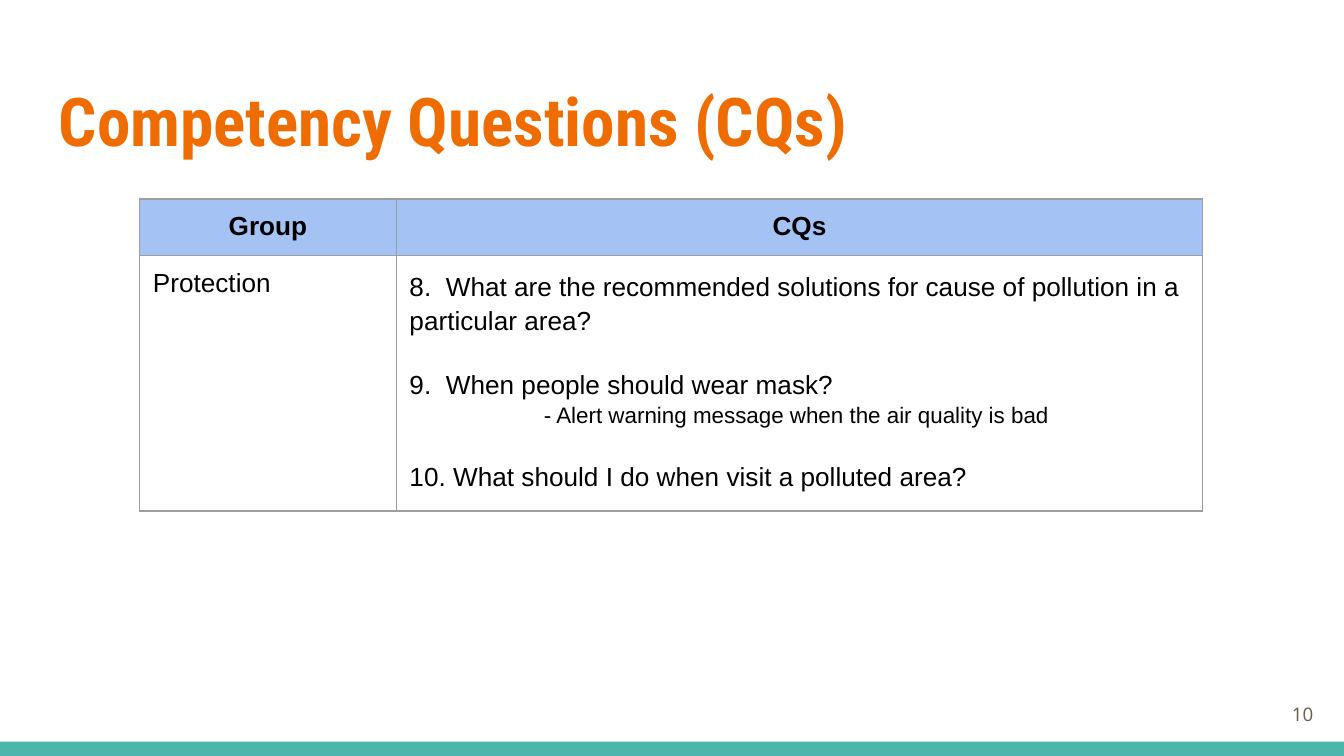
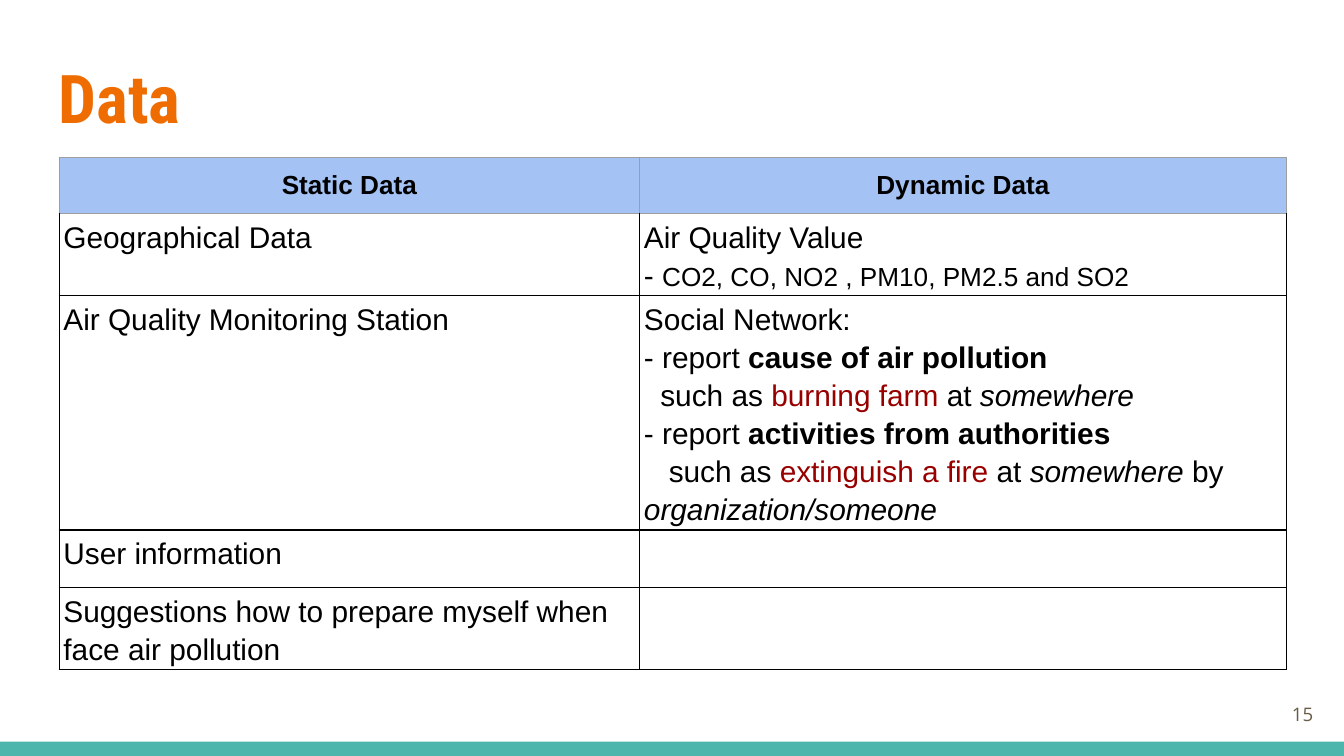
from dataclasses import dataclass

from lxml import etree
from pptx import Presentation
from pptx.dml.color import RGBColor
from pptx.enum import shapes, text
from pptx.oxml import ns
from pptx.util import Cm, Pt


# Theme
@dataclass(frozen=True)
class Theme:
    title: str = "EF6C00"
    band: str = "4DB6AC"
    page: str = "695D46"
    header: str = "A4C2F4"
    ink: str = "000000"
    accent: str = "980000"
    grey: str = "9E9E9E"
    title_font: str = "Roboto Condensed"
    body_font: str = "Arial"
    page_font: str = "Open Sans"
    title_size: int = 36
    large: int = 16
    medium: int = 14
    small: int = 12
    page_size: int = 10
    line_spacing: float = 1.15
    border_width: float = 0.75


THEME = Theme()
STYLES = {
    "bold": {"bold": True},
    "italic": {"italic": True},
    "accent": {"color": THEME.accent},
    "medium": {"size": THEME.medium},
    "small": {"size": THEME.small},
}
WIDE, SLIM = (0.25, 0.25), (0.08, 0.05)

# Content: a cell is a list of (paragraph format, runs); a run is (text, style)
PROTECTION_QUESTIONS = [
    ({}, [("8.  What are the recommended solutions for cause of pollution "
           "in a particular area?", None)]),
    ({"before": 16}, [("9.  When people should wear mask?", None)]),
    ({"indent": 2.54}, [("- Alert warning message when the air quality is bad", "small")]),
    ({"before": 16}, [("10. What should I do when visit a polluted area?", None)]),
]
AIR_QUALITY = [
    ({}, [("Air Quality Value", None)]),
    ({}, [("- ", None), ("CO2, CO, NO2 , PM10, PM2.5 and SO2", "medium")]),
]
SOCIAL_NETWORK = [
    ({}, [("Social Network:", None)]),
    ({}, [("- report ", None), ("cause of air pollution", "bold")]),
    ({"indent": 0.31}, [("such as ", None), ("burning farm", "accent"),
                        (" at ", None), ("somewhere", "italic")]),
    ({}, [("- report ", None), ("activities from authorities", "bold")]),
    ({"indent": 0.47}, [("such as ", None), ("extinguish a fire", "accent"),
                        (" at ", None), ("somewhere ", "italic"), ("by", None),
                        (" organization/someone", "italic")]),
]
SLIDES = [
    {
        "title": "Competency Questions (CQs)", "title_top": 1.24, "page": "10",
        "at": (2.64, 3.76), "columns": (4.85, 15.24), "rows": (1.07, 4.83),
        "border": THEME.grey, "margins": WIDE, "size": THEME.medium,
        "header": ("Group", "CQs"),
        "body": [("Protection", PROTECTION_QUESTIONS)],
    },
    {
        "title": "Data", "title_top": 0.81, "page": "15",
        "at": (1.12, 2.97), "columns": (10.97, 12.22),
        "rows": (1.07, 1.55, 4.43, 1.09, 1.55),
        "border": THEME.ink, "margins": SLIM, "size": THEME.large,
        "header": ("Static Data", "Dynamic Data"),
        "body": [
            ("Geographical Data", AIR_QUALITY),
            ("Air Quality Monitoring Station", SOCIAL_NETWORK),
            ("User information", ""),
            ("Suggestions how to prepare myself when face air pollution", ""),
        ],
    },
]


# Text helpers
def set_font(font, size, name, color, **flags):
    values = {"size": Pt(size), "name": name, **flags}
    for key, value in values.items():
        setattr(font, key, value)
    font.color.rgb = RGBColor.from_string(color)


def set_margins(holder, across, down):
    for side, length in zip(("left", "right", "top", "bottom"),
                            (across, across, down, down)):
        setattr(holder, f"margin_{side}", Cm(length))


def write_line(frame, words, size, name, color, align, anchor, **flags):
    set_margins(frame, *WIDE)
    values = {"word_wrap": True, "auto_size": text.MSO_AUTO_SIZE.NONE,
              "vertical_anchor": anchor}
    for key, value in values.items():
        setattr(frame, key, value)
    line = frame.paragraphs[0]
    line.alignment = align
    run = line.add_run()
    run.text = words
    set_font(run.font, size, name, color, **flags)


def write_cell(cell, content, size, spacing=None, align=None, bold=False):
    if isinstance(content, str):
        content = [({}, [(content, None)])] if content else []
    frame = cell.text_frame
    for index, (layout, runs) in enumerate(content):
        line = frame.add_paragraph() if index else frame.paragraphs[0]
        line.alignment = align
        line.line_spacing = spacing
        if "before" in layout:
            line.space_before = Pt(layout["before"])
        if "indent" in layout:
            properties = line._p.get_or_add_pPr()
            properties.set("marL", "0")
            properties.set("indent", str(Cm(layout["indent"])))
        for words, style in runs:
            run = line.add_run()
            run.text = words
            base = {"size": size, "name": THEME.body_font,
                    "color": THEME.ink, "bold": bold}
            set_font(run.font, **{**base, **STYLES.get(style, {})})


# Table helpers
def set_borders(cell, color, top):
    properties = cell._tc.get_or_add_tcPr()
    for index, side in enumerate("LRTB"):
        edge = etree.Element(ns.qn(f"a:ln{side}"), w=str(Pt(THEME.border_width)))
        fill = etree.SubElement(edge, ns.qn("a:solidFill"))
        etree.SubElement(fill, ns.qn("a:srgbClr"), val=top if side == "T" else color)
        properties.insert(index, edge)


def add_grid(slide, content):
    columns, heights = content["columns"], content["rows"]
    left, top = content["at"]
    table = slide.shapes.add_table(
        len(heights), len(columns), Cm(left), Cm(top),
        Cm(sum(columns)), Cm(sum(heights))).table
    table.first_row = table.horz_banding = False
    for column, width in zip(table.columns, columns):
        column.width = Cm(width)
    for row, height in zip(table.rows, heights):
        row.height = Cm(height)

    for r, row in enumerate([content["header"], *content["body"]]):
        for c, words in enumerate(row):
            cell = table.cell(r, c)
            if r == 0:
                set_margins(cell, *WIDE)
                cell.fill.solid()
                cell.fill.fore_color.rgb = RGBColor.from_string(THEME.header)
                write_cell(cell, words, THEME.medium, align=text.PP_ALIGN.CENTER, bold=True)
            else:
                set_margins(cell, *content["margins"])
                cell.fill.background()
                write_cell(cell, words, content["size"], spacing=THEME.line_spacing
                           if content["margins"] == SLIM or c else None)
            set_borders(cell, content["border"] if r else THEME.grey,
                        content["border"] if r > 1 else THEME.grey)


# Shared parts of every slide
def add_frame(deck, content):
    slide = deck.slides.add_slide(deck.slide_layouts[5])

    band = slide.shapes.add_shape(shapes.MSO_SHAPE.RECTANGLE, 0, Cm(14.02),
                                  deck.slide_width, Cm(0.27))
    band.shadow.inherit = False
    band.fill.solid()
    band.fill.fore_color.rgb = RGBColor.from_string(THEME.band)
    band.line.fill.background()

    title = slide.shapes.title
    place = {"left": 0.86, "top": content["title_top"], "width": 23.67, "height": 1.96}
    for key, length in place.items():
        setattr(title, key, Cm(length))
    write_line(title.text_frame, content["title"], THEME.title_size, THEME.title_font,
               THEME.title, text.PP_ALIGN.LEFT, text.MSO_ANCHOR.TOP, bold=True)

    page = slide.shapes.add_textbox(Cm(23.55), Cm(12.95), Cm(1.52), Cm(1.09))
    write_line(page.text_frame, content["page"], THEME.page_size, THEME.page_font,
               THEME.page, text.PP_ALIGN.RIGHT, text.MSO_ANCHOR.MIDDLE)
    return slide


def main():
    deck = Presentation()
    deck.slide_width, deck.slide_height = Cm(25.4), Cm(14.29)
    for content in SLIDES:
        add_grid(add_frame(deck, content), content)
    deck.save("out.pptx")


if __name__ == "__main__":
    main()
